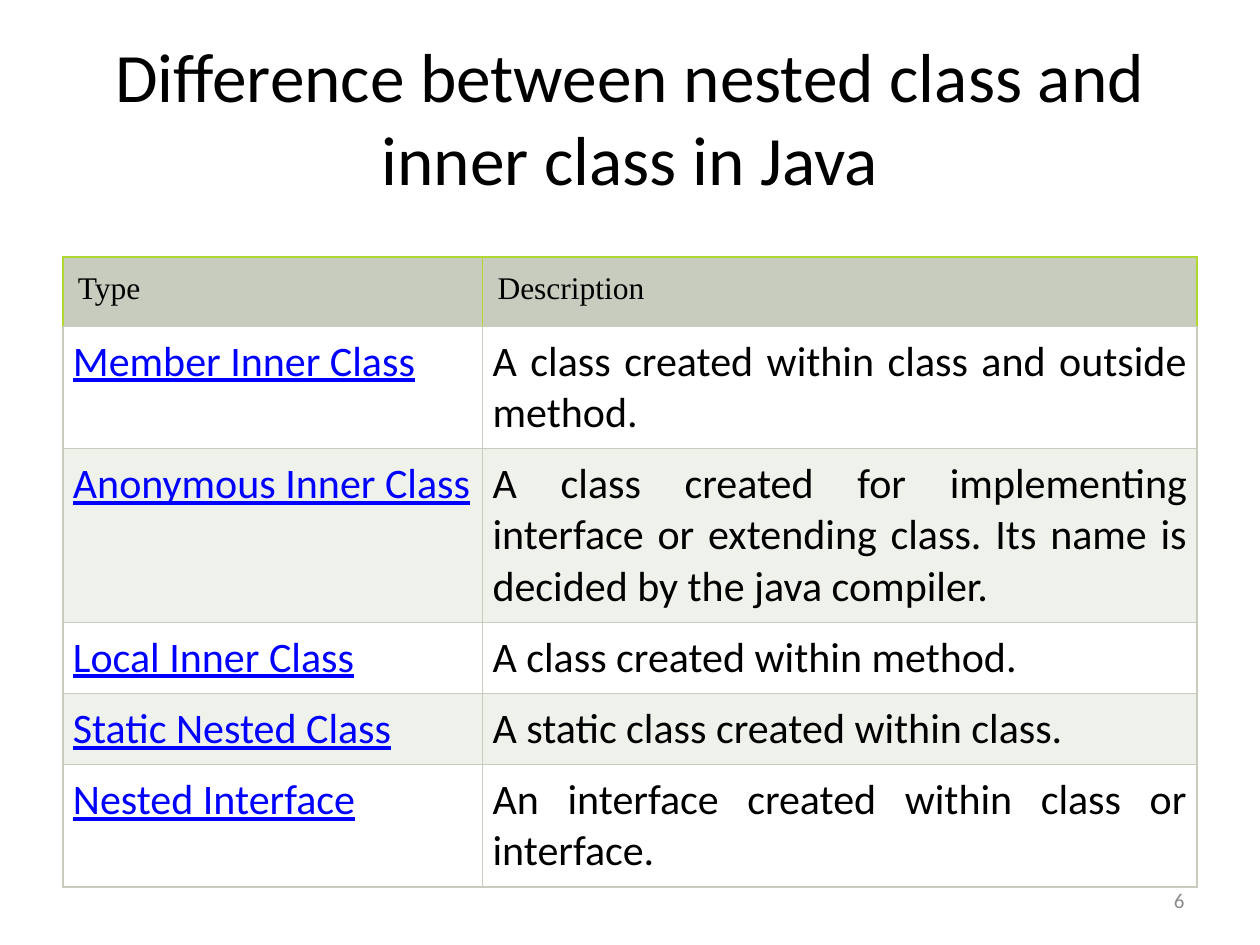
import pptx
import pptx.dml.color
import pptx.enum.text
import pptx.oxml
import pptx.oxml.ns
import pptx.util
from pptx.util import Cm

ALIGN = pptx.enum.text.PP_ALIGN
MIDDLE = pptx.enum.text.MSO_ANCHOR.MIDDLE

BLACK, LINK, GREY = "000000", "0000FF", "8C8C8C"
SAGE, LIME = "C7CCBE", "B0D833"
BANDS = ("FFFFFF", "EFF1EB")

COLUMN_WIDTHS = (8.46, 14.4)
ROW_HEIGHTS = (1.4, 1.93, 3.45, 1.17, 1.17, 1.93)
HEADINGS = ("Type", "Description")
CLASS_TYPES = (
    ("Member Inner Class", "A class created within class and outside method."),
    ("Anonymous Inner Class",
     "A class created for implementing interface or extending class. "
     "Its name is decided by the java compiler."),
    ("Local Inner Class", "A class created within method."),
    ("Static Nested Class", "A static class created within class."),
    ("Nested Interface", "An interface created within class or interface."),
)


def rgb(color):
    return pptx.dml.color.RGBColor.from_string(color)


def write(frame, text, size, color, align, font="Calibri", underline=None):
    paragraph = frame.paragraphs[0]
    paragraph.text = text
    paragraph.alignment = align
    paragraph.font.name = font
    paragraph.font.size = pptx.util.Pt(size)
    paragraph.font.color.rgb = rgb(color)
    paragraph.font.underline = underline


def add_text(slide, left, top, width, height, text, size, color, align):
    frame = slide.shapes.add_textbox(Cm(left), Cm(top), Cm(width), Cm(height)).text_frame
    frame.word_wrap = True
    frame.vertical_anchor = MIDDLE
    write(frame, text, size, color, align)


def style_cell(cell, fill, inset, side_color):
    """Set fill, margins and borders; the bottom border is always sage."""
    cell.margin_left = cell.margin_right = Cm(inset)
    cell.margin_top = cell.margin_bottom = Cm(inset)
    properties = cell._tc.get_or_add_tcPr()
    borders = {"lnL": side_color, "lnR": side_color, "lnT": side_color, "lnB": SAGE}
    for side, color in borders.items():
        properties.append(pptx.oxml.parse_xml(
            f'<a:{side} {pptx.oxml.ns.nsdecls("a")} w="9525"><a:solidFill>'
            f'<a:srgbClr val="{color}"/></a:solidFill></a:{side}>'))
    cell.fill.solid()
    cell.fill.fore_color.rgb = rgb(fill)


def add_class_table(slide):
    table = slide.shapes.add_table(
        len(ROW_HEIGHTS), len(COLUMN_WIDTHS),
        Cm(1.27), Cm(5.18), Cm(22.86), Cm(12.65)).table
    for column, width in zip(table.columns, COLUMN_WIDTHS):
        column.width = Cm(width)
    for row, height in zip(table.rows, ROW_HEIGHTS):
        row.height = Cm(height)

    for cell, heading in zip(table.rows[0].cells, HEADINGS):
        style_cell(cell, SAGE, 0.3, LIME)
        write(cell.text_frame, heading, 18, BLACK, ALIGN.LEFT, "Times New Roman")

    for index, (class_type, description) in enumerate(CLASS_TYPES):
        type_cell, description_cell = table.rows[index + 1].cells
        for cell in (type_cell, description_cell):
            style_cell(cell, BANDS[index % 2], 0.2, SAGE)
        write(type_cell.text_frame, class_type, 24, LINK, ALIGN.JUSTIFY, underline=True)
        write(description_cell.text_frame, description, 24, BLACK, ALIGN.JUSTIFY)


def main():
    deck = pptx.Presentation()
    deck.slide_width, deck.slide_height = Cm(25.4), Cm(19.05)
    slide = deck.slides.add_slide(deck.slide_layouts[6])
    add_class_table(slide)
    add_text(slide, 1.27, 0.76, 22.86, 3.18,
             "Difference between nested class and inner class in Java",
             39.6, BLACK, ALIGN.CENTER)
    add_text(slide, 18.2, 17.65, 5.93, 1.01, "6", 12, GREY, ALIGN.RIGHT)
    deck.save("out.pptx")


if __name__ == "__main__":
    main()
